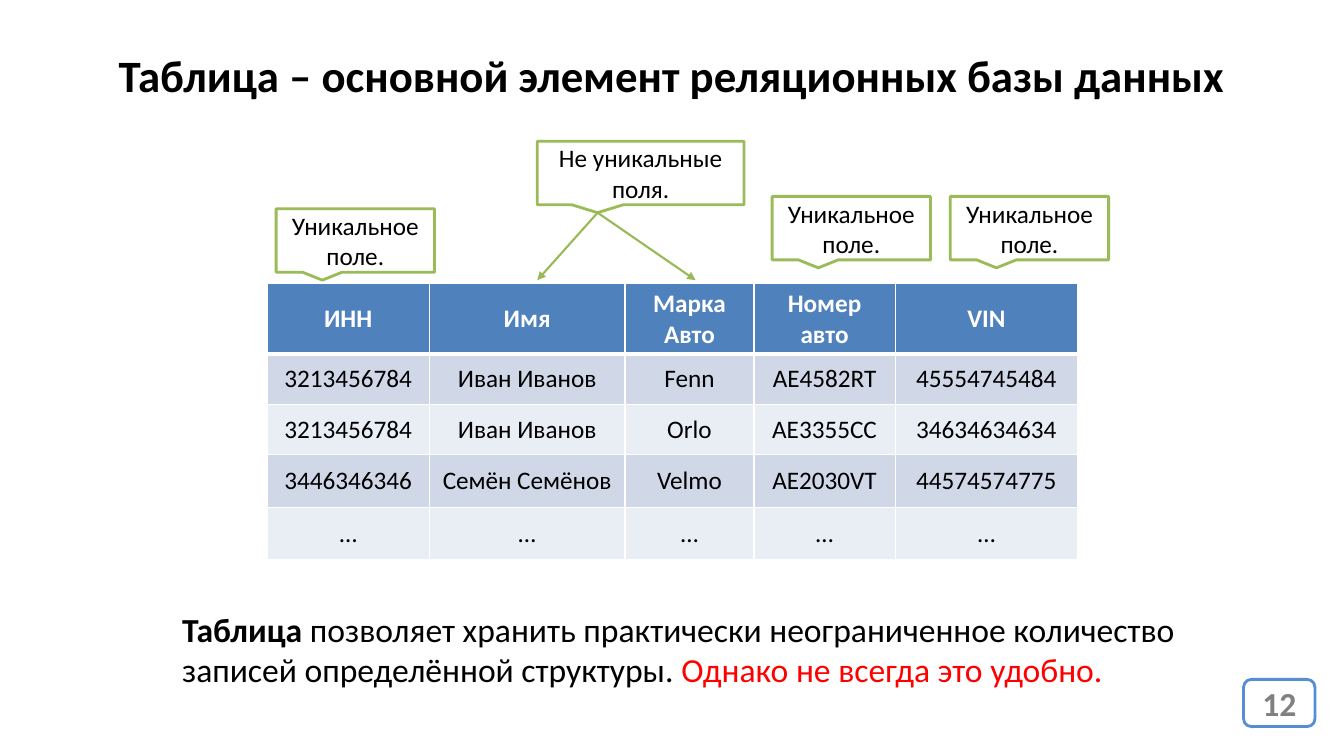
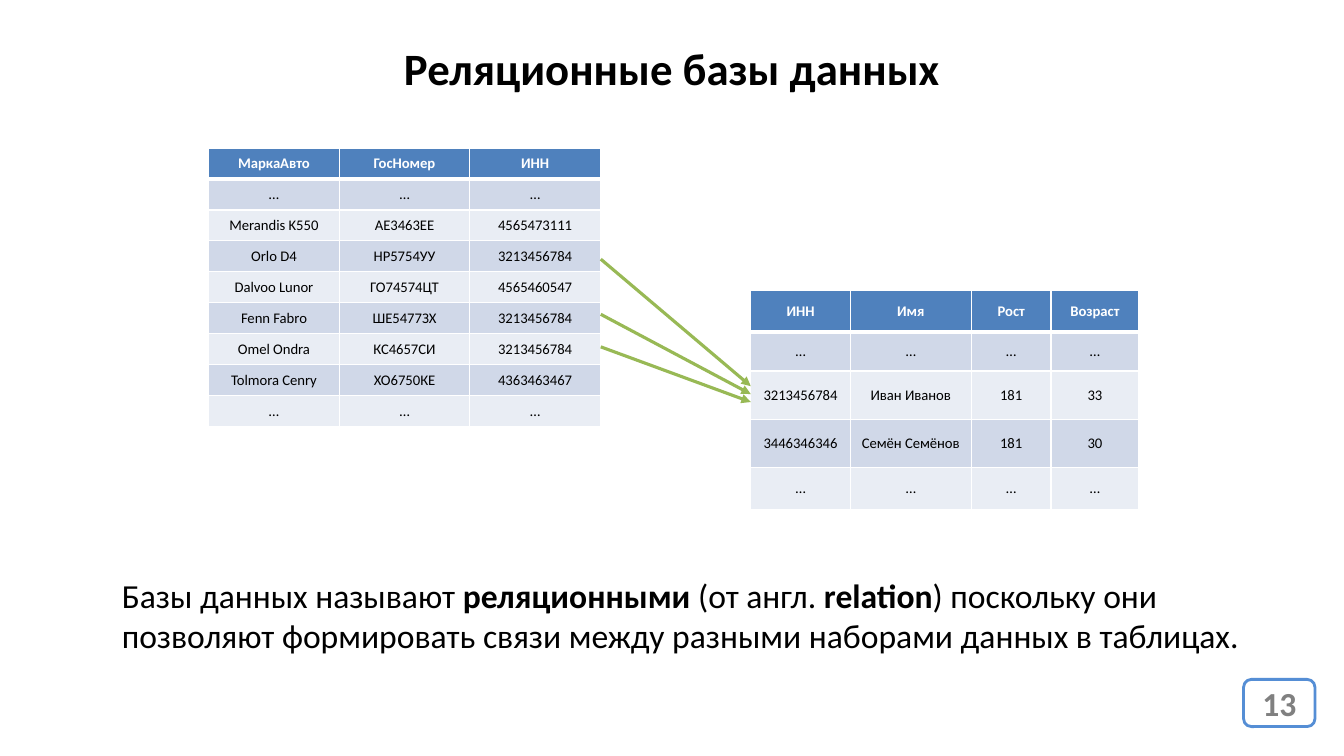
from lxml.etree import SubElement
from pptx import Presentation
from pptx.dml.color import RGBColor
from pptx.enum.shapes import MSO_CONNECTOR, MSO_SHAPE
from pptx.enum.text import MSO_ANCHOR, PP_ALIGN
from pptx.oxml.ns import qn
from pptx.util import Cm, Pt

FONT = "Calibri"
BLACK, WHITE, RED, GREY = "000000", "FFFFFF", "FF0000", "808080"
HEAD, BANDS = "4F81BD", ("E9EDF4", "D0D8E8")
GREEN, ARROW, BLUE = "9BBB59", "98B955", "558ED5"
DOTS = "…"


def hue(code):
    return RGBColor.from_string(code)


def write(frame, text, size=18, color=BLACK, bold=False, align=PP_ALIGN.CENTER):
    frame.word_wrap = True
    para = frame.paragraphs[0]
    para.alignment = align
    run = para.add_run()
    run.text = text
    run.font.name = FONT
    run.font.size = Pt(size)
    run.font.bold = bold
    run.font.color.rgb = hue(color)


cars = {
    "at": (6.73, 7.14),
    "size": 18,
    "cols": (4.09, 4.93, 3.25, 3.56, 4.6),
    "rows": (1.78, 1.27, 1.27, 1.32, 1.32),
    "data": [
        ("ИНН", "Имя", "Марка Авто", "Номер авто", "VIN"),
        ("3213456784", "Иван Иванов", "Fenn", "AE4582RT", "45554745484"),
        ("3213456784", "Иван Иванов", "Orlo", "AE3355CC", "34634634634"),
        ("3446346346", "Семён Семёнов", "Velmo", "AE2030VT", "44574574775"),
        (DOTS,) * 5,
    ],
}
people = {
    "at": (18.92, 7.32),
    "size": 10.5,
    "cols": (2.51, 3.05, 2.01, 2.21),
    "rows": (1.04, 0.99, 1.22, 1.22, 1.04),
    "data": [
        ("ИНН", "Имя", "Рост", "Возраст"),
        (DOTS,) * 4,
        ("3213456784", "Иван Иванов", "181", "33"),
        ("3446346346", "Семён Семёнов", "181", "30"),
        (DOTS,) * 4,
    ],
}
plates = {
    "at": (5.26, 3.73),
    "size": 10.5,
    "cols": (3.29,) * 3,
    "rows": (0.78,) * 9,
    "data": [
        ("МаркаАвто", "ГосНомер", "ИНН"),
        (DOTS,) * 3,
        ("Merandis K550", "АЕ3463ЕЕ", "4565473111"),
        ("Orlo D4", "НР5754УУ", "3213456784"),
        ("Dalvoo Lunor", "ГО74574ЦТ", "4565460547"),
        ("Fenn Fabro", "ШЕ5477ЗХ", "3213456784"),
        ("Omel Ondra", "КС4657СИ", "3213456784"),
        ("Tolmora Cenry", "ХО6750КЕ", "4363463467"),
        (DOTS,) * 3,
    ],
}
pages = [
    {
        "title": "Таблица – основной элемент реляционных базы данных",
        "head": (0, 1.09, 33.87, 1.63),
        "tables": [cars],
        "body": (4.34, 15.21, 26.01, 2.31),
        "runs": [
            ("Таблица", BLACK, True),
            (" позволяет хранить практически неограниченное количество "
             "записей определённой структуры. ", BLACK, False),
            ("Однако не всегда это удобно.", RED, False),
        ],
        "notes": [
            ("Не уникальные поля.", 13.54, 3.56, 5.21),
            ("Уникальное поле.", 6.96, 5.26, 3.99),
            ("Уникальное поле.", 19.46, 4.95, 3.99),
            ("Уникальное поле.", 23.95, 4.95, 3.99),
        ],
        "lines": [(15.06, 5.36, 13.54, 7.06), (15.06, 5.36, 17.53, 7.06)],
        "width": 1.5,
    },
    {
        "title": "Реляционные базы данных",
        "head": (9.86, 0.91, 14.15, 1.63),
        "tables": [people, plates],
        "body": (2.82, 14.35, 30, 2.31),
        "runs": [
            ("Базы данных называют ", BLACK, False),
            ("реляционными ", BLACK, True),
            ("(от англ. ", BLACK, False),
            ("relation", BLACK, True),
            (") поскольку они позволяют формировать связи между "
             "разными наборами данных в таблицах.", BLACK, False),
        ],
        "notes": [],
        "lines": [
            (15.14, 6.53, 18.92, 9.73),
            (15.14, 7.92, 18.92, 9.93),
            (15.14, 8.74, 18.92, 10.13),
        ],
        "width": 2.25,
    },
]

deck = Presentation()
deck.slide_width, deck.slide_height = Cm(33.87), Cm(19.05)

for num, page in enumerate(pages, 12):
    slide = deck.slides.add_slide(deck.slide_layouts[6])
    shapes = slide.shapes
    title = shapes.add_textbox(*map(Cm, page["head"]))
    write(title.text_frame, page["title"], size=32, bold=True)

    for spec in page["tables"]:
        data, cols, rows = spec["data"], spec["cols"], spec["rows"]
        area = (*spec["at"], sum(cols), sum(rows))
        table = shapes.add_table(len(rows), len(cols), *map(Cm, area)).table
        for col, wide in zip(table.columns, cols):
            col.width = Cm(wide)
        for i, (row, high) in enumerate(zip(table.rows, rows)):
            row.height = Cm(high)
            top = i == 0
            for cell, text in zip(row.cells, data[i]):
                props = cell._tc.get_or_add_tcPr()
                for side in ("L", "R", "T", "B"):
                    thick = (i, side) in ((0, "B"), (1, "T"))
                    edge = SubElement(props, qn("a:ln" + side), w=str(Pt(3 if thick else 1)))
                    fill = SubElement(edge, qn("a:solidFill"))
                    SubElement(fill, qn("a:srgbClr"), val=WHITE)
                cell.fill.solid()
                cell.fill.fore_color.rgb = hue(HEAD if top else BANDS[i % 2])
                cell.vertical_anchor = MSO_ANCHOR.MIDDLE
                write(cell.text_frame, text, size=spec["size"],
                      color=WHITE if top else BLACK, bold=top)

    body = shapes.add_textbox(*map(Cm, page["body"]))
    for text, color, bold in page["runs"]:
        write(body.text_frame, text, size=24, color=color, bold=bold, align=PP_ALIGN.LEFT)

    boxes = [
        (MSO_SHAPE.RECTANGULAR_CALLOUT, (x, y, wide, 1.6), GREEN, text, {})
        for text, x, y, wide in page["notes"]
    ]
    badge = {"size": 24, "color": GREY, "bold": True}
    boxes.append((MSO_SHAPE.ROUNDED_RECTANGLE, (31.34, 17.12, 1.8, 1.19), BLUE, str(num), badge))
    for kind, area, color, text, form in boxes:
        box = shapes.add_shape(kind, *map(Cm, area))
        box.shadow.inherit = False
        box.fill.solid()
        box.fill.fore_color.rgb = hue(WHITE)
        box.line.color.rgb = hue(color)
        box.line.width = Pt(2)
        box.text_frame.vertical_anchor = MSO_ANCHOR.MIDDLE
        write(box.text_frame, text, **form)

    for ends in page["lines"]:
        arrow = shapes.add_connector(MSO_CONNECTOR.STRAIGHT, *map(Cm, ends))
        arrow.line.color.rgb = hue(ARROW)
        arrow.line.width = Pt(page["width"])
        props = arrow._element.spPr
        SubElement(props.find(qn("a:ln")), qn("a:tailEnd"), type="triangle")
        SubElement(props, qn("a:effectLst"))

deck.save("out.pptx")
